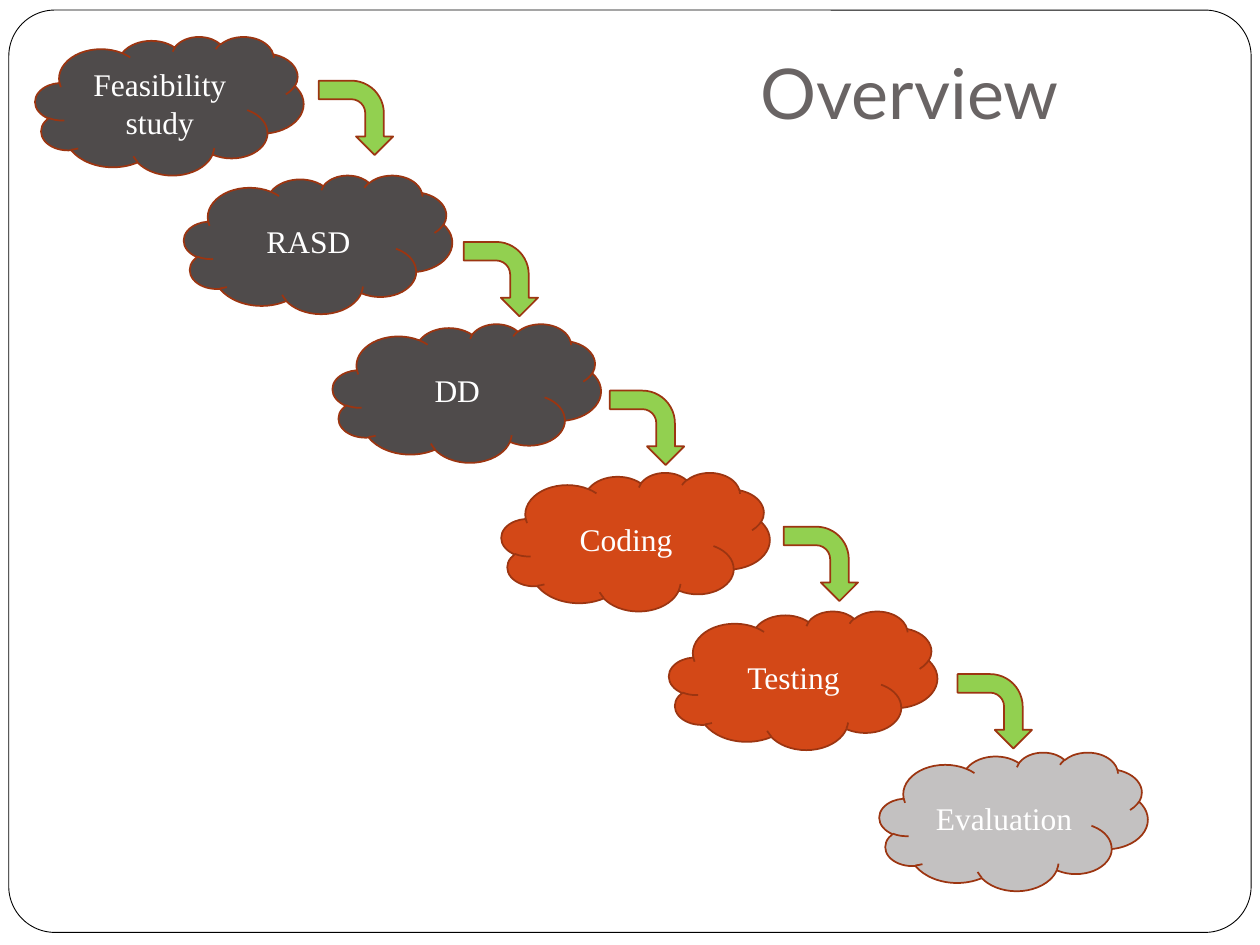
from pptx import Presentation
from pptx.dml.color import RGBColor
from pptx.enum.shapes import MSO_SHAPE as Shape
from pptx.enum.text import MSO_ANCHOR as Anchor, PP_ALIGN as Align
from pptx.util import Inches, Pt

DONE, ACTIVE, PENDING = "4F4B4B", "D34817", "C3C1C1"
GREEN, RUST, WHITE, BLACK, GREY = "92D050", "9C3511", "FFFFFF", "000000", "696464"

# label, fill, left, top
STAGES = [
    ("Feasibility study", DONE, 0.28, 0.29),
    ("RASD", DONE, 1.46, 1.39),
    ("DD", DONE, 2.64, 2.57),
    ("Coding", ACTIVE, 3.98, 3.75),
    ("Testing", ACTIVE, 5.31, 4.85),
    ("Evaluation", PENDING, 6.98, 5.97),
]
CLOUD_SIZE = (2.13, 1.1)
ARROW_SIZE = (0.59, 0.59)
ARROWS = [(2.53, 0.64), (3.68, 1.92), (4.84, 3.1), (6.22, 4.18), (7.6, 5.35)]

FRAME_AREA = (0.07, 0.08, 9.86, 7.32)
TITLE_AREA = (5.94, 0.32, 3.14, 0.84)
TITLE_INSETS = {"margin_left": 0.1, "margin_top": 0.05,
                "margin_right": 0.1, "margin_bottom": 0.1}
LABEL_FONT = {"name": "Times New Roman", "size": Pt(18)}
TITLE_FONT = {"name": "Lato", "size": Pt(40)}


def color(value):
    return RGBColor.from_string(value)


def add_shape(page, kind, area, fill, line=RUST, width=1):
    shape = page.shapes.add_shape(kind, *map(Inches, area))
    shape.shadow.inherit = False
    shape.fill.solid()
    shape.fill.fore_color.rgb = color(fill)
    shape.line.color.rgb = color(line)
    shape.line.width = Pt(width)
    return shape


def write(box, text, font, ink, align, anchor):
    frame = box.text_frame
    frame.word_wrap = True
    frame.vertical_anchor = anchor
    para = frame.paragraphs[0]
    para.alignment = align
    span = para.add_run()
    span.text = text
    for name, value in font.items():
        setattr(span.font, name, value)
    span.font.color.rgb = color(ink)


def main():
    deck = Presentation()
    deck.slide_width, deck.slide_height = Inches(10), Inches(7.5)
    page = deck.slides.add_slide(deck.slide_layouts[6])

    border = add_shape(page, Shape.ROUNDED_RECTANGLE, FRAME_AREA, WHITE, BLACK, 0.5)
    border.adjustments[0] = 0.05

    for label, fill, left, top in STAGES:
        cloud = add_shape(page, Shape.CLOUD, (left, top, *CLOUD_SIZE), fill)
        write(cloud, label, LABEL_FONT, WHITE, Align.CENTER, Anchor.MIDDLE)

    for corner in ARROWS:
        arrow = add_shape(page, Shape.BENT_ARROW, (*corner, *ARROW_SIZE), GREEN)
        arrow.rotation = 90

    title = page.shapes.add_textbox(*map(Inches, TITLE_AREA))
    for name, value in TITLE_INSETS.items():
        setattr(title.text_frame, name, Inches(value))
    write(title, "Overview", TITLE_FONT, GREY, Align.LEFT, Anchor.BOTTOM)

    deck.save("out.pptx")


if __name__ == "__main__":
    main()
